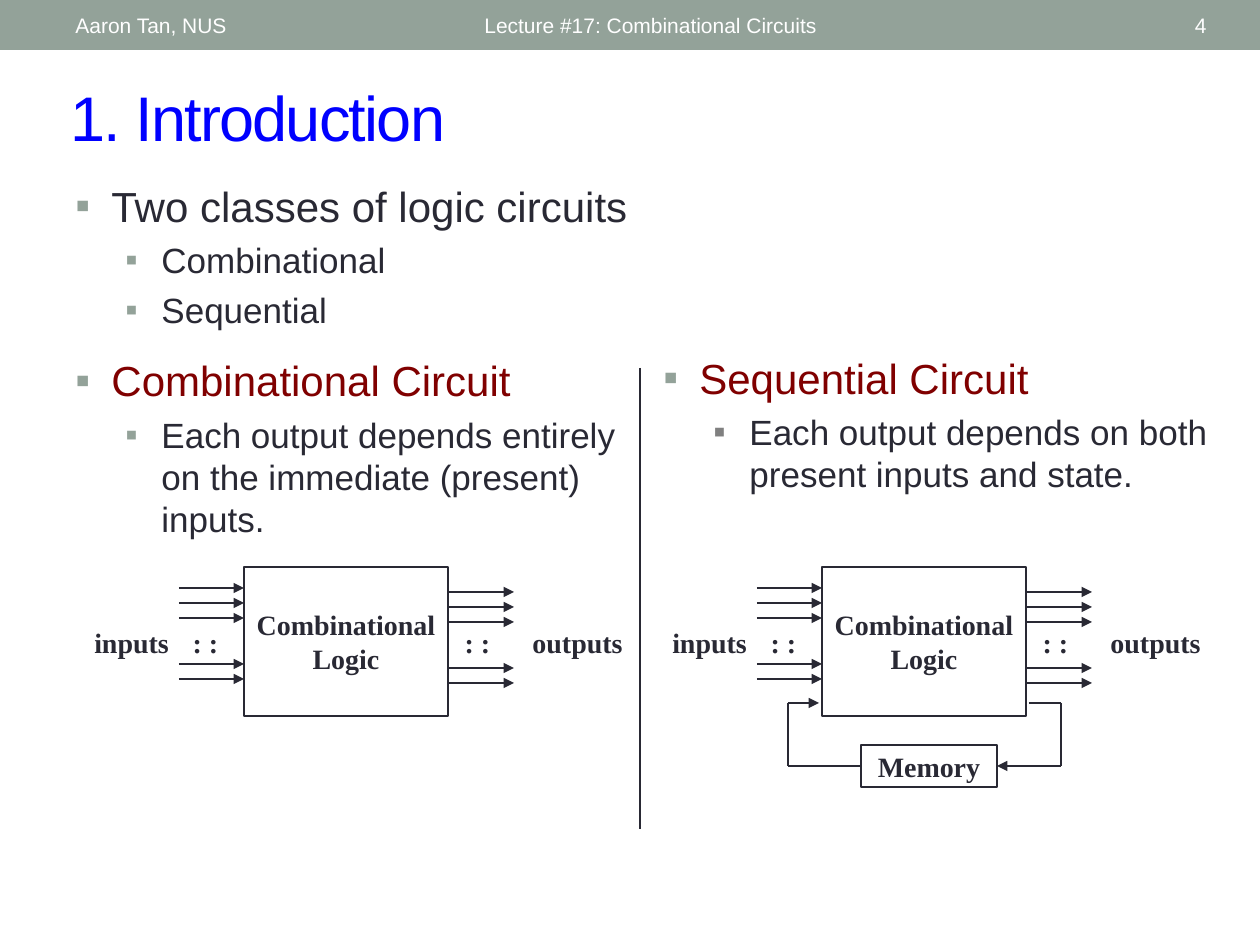
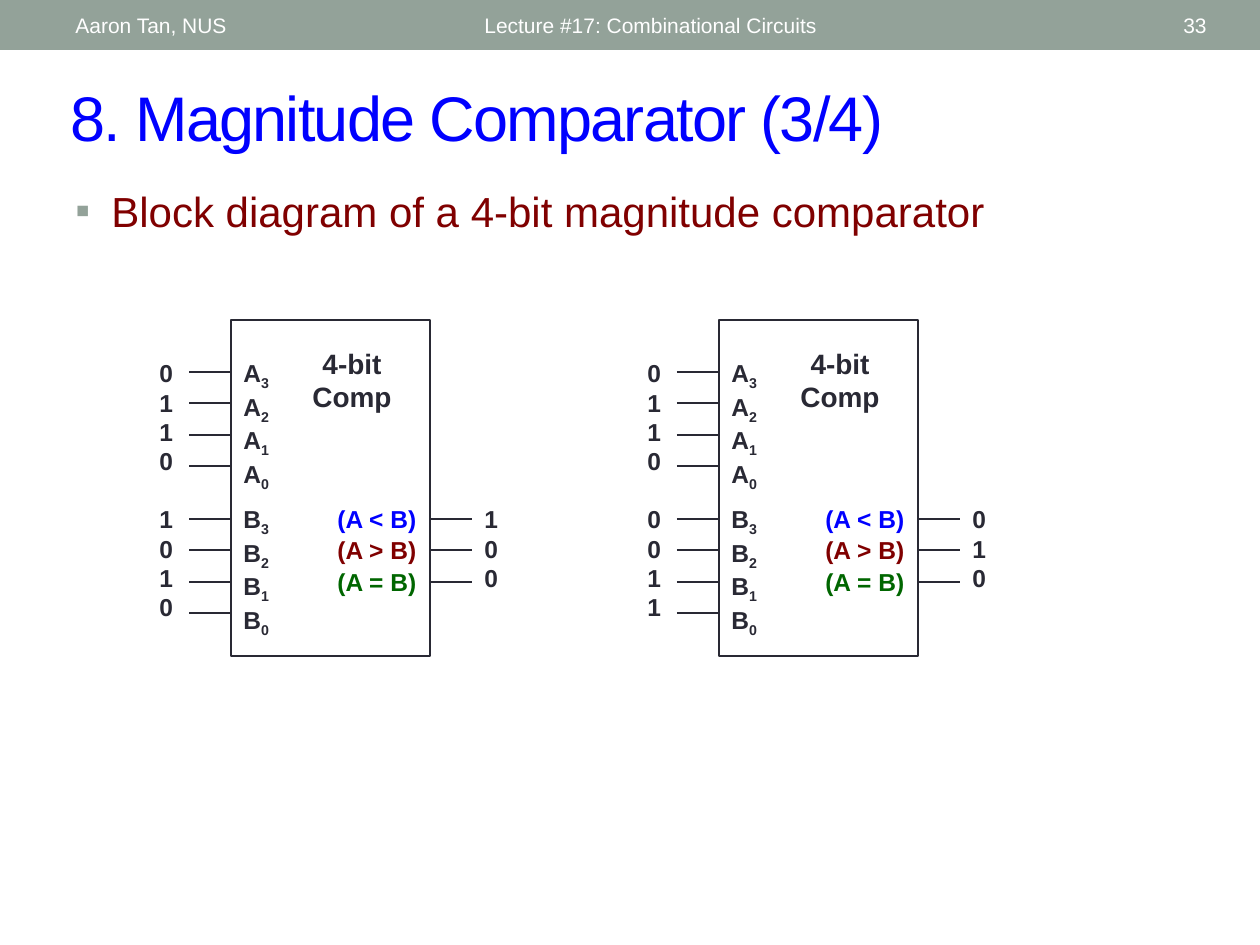
from itertools import pairwise
from lxml.etree import SubElement
from pptx import Presentation
from pptx.dml.color import RGBColor
from pptx.enum.shapes import MSO_CONNECTOR as Link, MSO_SHAPE as Shape
from pptx.enum.text import MSO_ANCHOR as Anchor, MSO_AUTO_SIZE as Fit, PP_ALIGN as Align
from pptx.oxml.ns import qn
from pptx.util import Emu, Pt

INK = RGBColor(0x29, 0x29, 0x34)
SAGE = RGBColor(0x93, 0xA2, 0x99)
GRAY = RGBColor(0x80, 0x80, 0x80)
BLUE = RGBColor(0x00, 0x00, 0xFF)
MAROON = RGBColor(0x80, 0x00, 0x00)
GREEN = RGBColor(0x00, 0x66, 0x00)
WHITE = RGBColor(0xFF, 0xFF, 0xFF)
SANS, SERIF = "Arial", "Times New Roman"

AUTHOR = "Aaron Tan, NUS"
LECTURE = "Lecture #17: Combinational Circuits"

# level, space before as a share of the line, text colour, bullet colour, words
CLASSES = [
    (0, 0, INK, SAGE, "Two classes of logic circuits"),
    (1, 0.2, INK, SAGE, "Combinational"),
    (1, 0.2, INK, SAGE, "Sequential"),
    (0, 0.5, MAROON, SAGE, "Combinational Circuit"),
    (1, 0.2, INK, SAGE, "Each output depends entirely on the immediate (present) inputs."),
]
STATE = [
    (0, 0, MAROON, SAGE, "Sequential Circuit"),
    (1, 0.2, INK, GRAY, "Each output depends on both present inputs and state."),
]
BLOCK = [(0, 0, MAROON, SAGE, "Block diagram of a 4-bit magnitude comparator")]

LEVELS = [(24, 36, 36), (20, 86, 36)]
LOGIC = ["Combinational", "Logic"]
WIRES = [588, 603, 618, 664, 679]
LABELS = [(84, 95, "inputs"), (179, 53, ": :"), (451, 53, ": :"), (525, 105, "outputs")]
SHIFT = 578
BACK = [(1029, 703), (1061, 703), (1061, 766), (997, 766)]
FEED = [(861, 766), (788, 766), (788, 703), (819, 703)]

TESTS = [("(A < B)", BLUE), ("(A > B)", MAROON), ("(A = B)", GREEN)]
UNITS = [
    (0, {"A": "0110", "B": "1010"}, "100"),
    (488, {"A": "0110", "B": "0011"}, "010"),
]
PORTS = {"A": (352, 372), "B": (498, 519)}


def px(n):
    return Emu(round(n * 914400 / 126))


def style(run, size, color, face, bold=False):
    font = run.font
    font.size, font.name, font.bold = Pt(size), face, bold
    font.color.rgb = color


def write(frame, lines, size, color=INK, face=SANS, bold=False, align=Align.LEFT):
    frame.word_wrap = True
    for i, line in enumerate(lines):
        para = frame.paragraphs[0] if i == 0 else frame.add_paragraph()
        para.alignment = align
        word, *sub = (line,) if isinstance(line, str) else line
        for part in [word, *sub]:
            run = para.add_run()
            run.text = part
            style(run, size, color, face, bold)
        if sub:
            run._r.get_or_add_rPr().set("baseline", "-25000")


def inset(frame, side, top):
    frame.margin_left = frame.margin_right = px(side)
    frame.margin_top = frame.margin_bottom = px(top)


def label(pen, spot, lines, size, **look):
    frame = pen.add_textbox(*map(px, spot)).text_frame
    write(frame, lines, size, **look)
    return frame


def box(pen, spot, fill=None):
    rect = pen.add_shape(Shape.RECTANGLE, *map(px, spot))
    rect.shadow.inherit = False
    if fill:
        rect.fill.solid()
        rect.fill.fore_color.rgb = fill
        rect.line.fill.background()
    else:
        rect.fill.background()
        rect.line.color.rgb = INK
        rect.line.width = Pt(1.5)
    return rect


def wire(pen, start, end, width=1.25, arrow=False):
    line = pen.add_connector(Link.STRAIGHT, *map(px, start + end))
    line.line.color.rgb = INK
    line.line.width = Pt(width)
    if arrow:
        SubElement(line.line._get_or_add_ln(), qn("a:tailEnd"), type="triangle")
    SubElement(line._element.spPr, qn("a:effectLst"))
    return line


def route(pen, points):
    last = len(points) - 2
    return [wire(pen, a, b, 1.5, i == last) for i, (a, b) in enumerate(pairwise(points))]


def bullets(pen, spot, items):
    frame = pen.add_textbox(*map(px, spot)).text_frame
    frame.word_wrap = True
    for i, (level, gap, color, mark, words) in enumerate(items):
        para = frame.paragraphs[0] if i == 0 else frame.add_paragraph()
        size, left, hang = LEVELS[level]
        para.level = level
        props = para._p.get_or_add_pPr()
        props.set("marL", str(px(left)))
        props.set("indent", str(-px(hang)))
        SubElement(SubElement(props, qn("a:buClr")), qn("a:srgbClr"), val=str(mark))
        SubElement(props, qn("a:buFont"), typeface=SANS)
        SubElement(props, qn("a:buChar"), char="▪")
        para.space_before = Pt(round(gap * size * 1.15, 1))
        run = para.add_run()
        run.text = words
        style(run, size, color, SANS)


def start(deck, title, number):
    slide = deck.slides.add_slide(deck.slide_layouts[5])
    pen, head = slide.shapes, slide.shapes.title
    box(pen, (0, 0, 1260, 50), SAGE)
    head.left, head.top, head.width, head.height = map(px, (58, 72, 1150, 88))
    frame = head.text_frame
    write(frame, [title], 36, BLUE)
    frame.auto_size = Fit.NONE
    frame.vertical_anchor = Anchor.MIDDLE
    frame.paragraphs[0].runs[0]._r.get_or_add_rPr().set("spc", "-100")
    for left, wide, words, align in [
        (63, 400, AUTHOR, Align.LEFT),
        (472, 567, LECTURE, Align.LEFT),
        (1099, 120, number, Align.RIGHT),
    ]:
        band = label(pen, (left, 3, wide, 45), [words], 12, color=WHITE, align=align)
        band.vertical_anchor = Anchor.MIDDLE
    return pen


def circuit(pen, dx):
    look = dict(face=SERIF, bold=True, align=Align.CENTER)
    rect = box(pen, (244 + dx, 567, 204, 149))
    inset(rect.text_frame, 0, 0)
    rect.text_frame.vertical_anchor = Anchor.MIDDLE
    write(rect.text_frame, LOGIC, 16, **look)
    for y in WIRES:
        wire(pen, (179 + dx, y), (244 + dx, y), arrow=True)
        wire(pen, (448 + dx, y + 4), (514 + dx, y + 4), arrow=True)
    for left, wide, words in LABELS:
        inset(label(pen, (left + dx, 620, wide, 47), [words], 16, **look), 1, 6)


def memory(pen):
    cell = box(pen, (861, 745, 136, 42))
    inset(cell.text_frame, 1, 1)
    cell.text_frame.vertical_anchor = Anchor.MIDDLE
    write(cell.text_frame, ["Memory"], 16, face=SERIF, bold=True, align=Align.CENTER)
    route(pen, BACK)[-1].end_connect(cell, 3)
    route(pen, FEED)[0].begin_connect(cell, 1)


def step(top, i):
    return top + 63 * i // 2


def compare(pen, dx, bits, result):
    box(pen, (231 + dx, 320, 199, 336))
    label(pen, (284 + dx, 340, 136, 81), ["4-bit Comp"], 16, bold=True, align=Align.CENTER)
    for port, (top, first) in PORTS.items():
        label(pen, (147 + dx, top, 60, 130), bits[port], 14, bold=True)
        label(pen, (231 + dx, top, 60, 130), [(port, n) for n in "3210"], 14, bold=True)
        for i in range(4):
            y = step(first, i)
            wire(pen, (189 + dx, y), (231 + dx, y))
    top, first = PORTS["B"]
    for i, (words, color) in enumerate(TESTS):
        label(pen, (325 + dx, step(top, i), 116, 42), [words], 14, color=color, bold=True)
        y = step(first, i)
        wire(pen, (430 + dx, y), (472 + dx, y))
    label(pen, (472 + dx, top, 60, 101), result, 14, bold=True)


def main():
    deck = Presentation()
    deck.slide_width, deck.slide_height = px(1260), px(945)

    pen = start(deck, "1. Introduction", "4")
    bullets(pen, (63, 174, 609, 677), CLASSES)
    bullets(pen, (651, 346, 588, 210), STATE)
    wire(pen, (640, 368), (640, 829), 0.75)
    circuit(pen.add_group_shape().shapes, 0)
    loop = pen.add_group_shape().shapes
    circuit(loop, SHIFT)
    memory(loop)

    pen = start(deck, "8. Magnitude Comparator (3/4)", "33")
    bullets(pen, (63, 179, 1134, 84), BLOCK)
    for dx, bits, result in UNITS:
        compare(pen.add_group_shape().shapes, dx, bits, result)

    deck.save("out.pptx")


if __name__ == "__main__":
    main()
